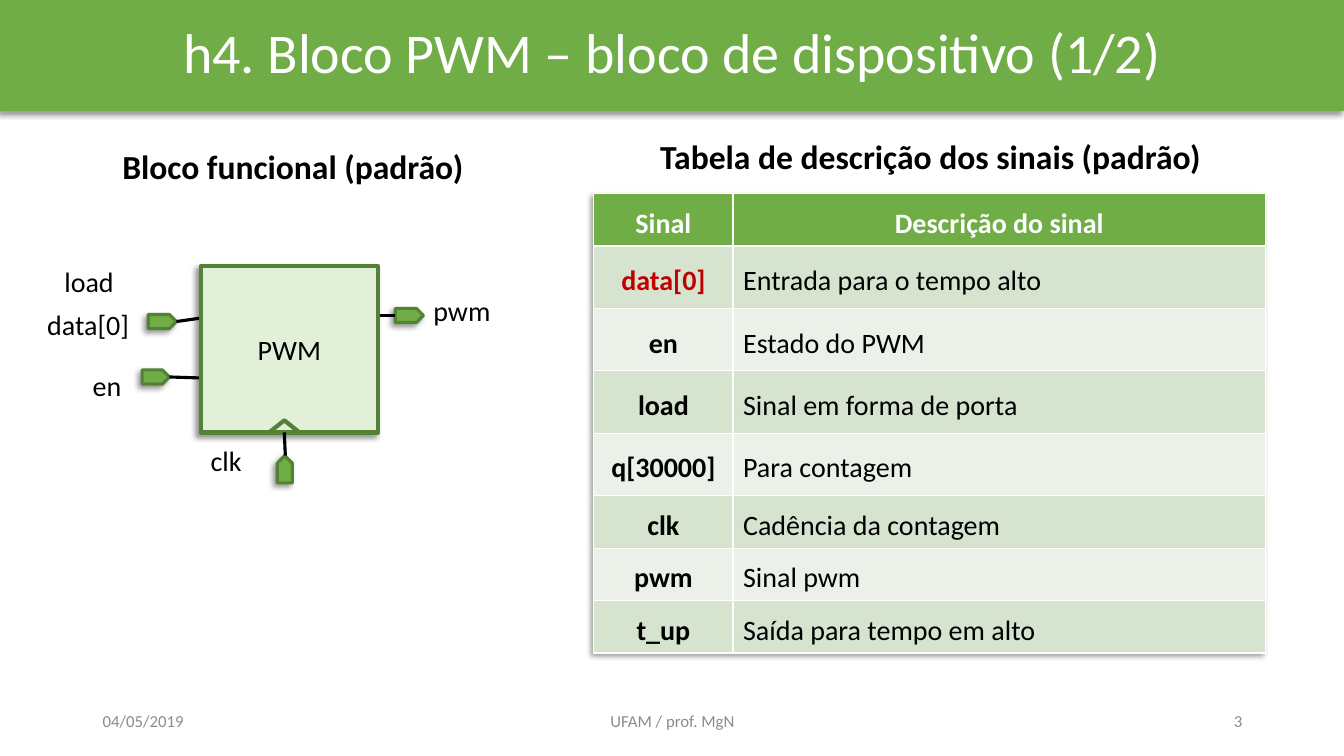
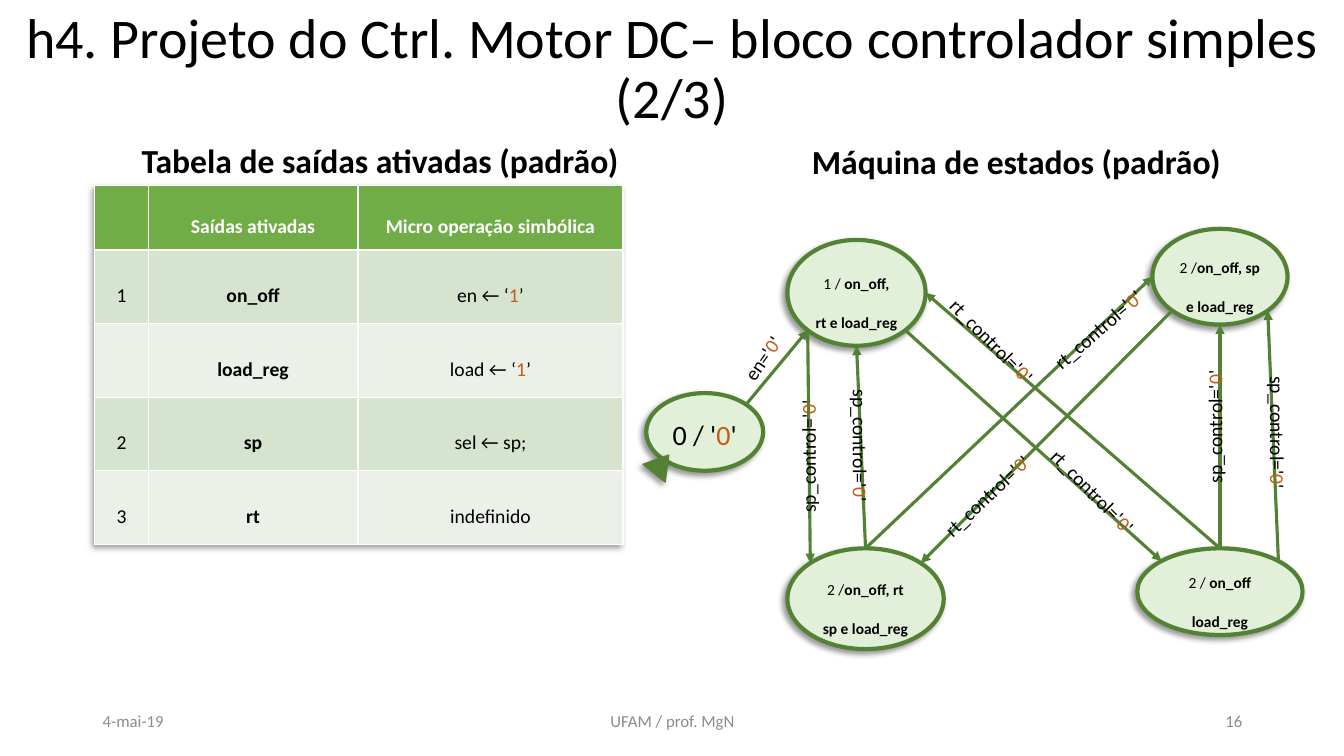
from dataclasses import dataclass
from math import cos, radians, sin
from typing import NamedTuple, Optional

from lxml.etree import SubElement
from pptx import Presentation
from pptx.dml.color import RGBColor
from pptx.enum.shapes import MSO_CONNECTOR, MSO_SHAPE
from pptx.enum.text import MSO_ANCHOR, MSO_AUTO_SIZE, PP_ALIGN
from pptx.oxml.ns import qn
from pptx.util import Inches, Pt

LEFT, CENTER, RIGHT = PP_ALIGN.LEFT, PP_ALIGN.CENTER, PP_ALIGN.RIGHT
TITLE_ONLY_LAYOUT = 5


@dataclass(frozen=True)
class Theme:
    font: str = "Calibri"
    green: str = "70AD47"
    dark_green: str = "548235"
    pale_green: str = "E2F0D9"
    row_bands: tuple = ("D5E3CF", "EBF1E9")
    black: str = "000000"
    white: str = "FFFFFF"
    gray: str = "8C8C8C"
    red: str = "C00000"
    orange: str = "C55A11"
    title_size: float = 40
    heading_size: float = 24
    label_size: float = 20
    small_size: float = 14
    footer_size: float = 12
    state_size: float = 11


THEME = Theme()


class Run(NamedTuple):
    text: str
    bold: Optional[bool] = None
    color: Optional[str] = None


def quoted(prefix, digit, opening="'", closing="'"):
    """Runs that end with a highlighted digit between quotes."""
    return [Run(prefix + opening), Run(digit, color=THEME.orange), Run(closing)]


def inches(values):
    return [Inches(value) for value in values]


def rim(box, angle):
    """Point on the ellipse inside box, with the angle clockwise from the right."""
    left, top, width, height = box
    return (left + width / 2 * (1 + cos(radians(angle))),
            top + height / 2 * (1 + sin(radians(angle))))


def add_shadow(properties):
    effects = properties.find(qn("a:effectLst"))
    if effects is None:
        effects = SubElement(properties, qn("a:effectLst"))
    shadow = SubElement(effects, qn("a:outerShdw"), blurRad=str(Pt(4)),
                        dist=str(Pt(3)), dir=str(135 * 60000), rotWithShape="0")
    color = SubElement(shadow, qn("a:srgbClr"), val=THEME.black)
    SubElement(color, qn("a:alpha"), val="40000")


class Deck:
    def __init__(self, theme):
        self.theme = theme
        self.presentation = Presentation()
        self.presentation.slide_width = Inches(13.33)
        self.presentation.slide_height = Inches(7.5)
        self.slide = None

    def new_slide(self, title, box, date, number, band=False):
        theme = self.theme
        layout = self.presentation.slide_layouts[TITLE_ONLY_LAYOUT]
        self.slide = self.presentation.slides.add_slide(layout)
        shape = self.slide.shapes.title
        shape.left, shape.top, shape.width, shape.height = inches(box)
        if band:
            self.paint(shape, theme.green, shadow=True)
        self.set_text(shape.text_frame, [title], theme.title_size,
                      color=theme.white if band else theme.black, spacing=0.9)
        footers = ((0.92, 3, date, LEFT), (4.42, 4.5, "UFAM / prof. MgN", CENTER),
                   (9.42, 3, number, RIGHT))
        for left, width, text, alignment in footers:
            self.text((left, 6.95, width, 0.4), text, theme.footer_size,
                      color=theme.gray, alignment=alignment)

    def set_text(self, frame, paragraphs, size, color=None, bold=False,
                 alignment=CENTER, spacing=None, wrap=True):
        """Fill a frame; each paragraph is a string or a list of runs."""
        frame.word_wrap = wrap
        frame.auto_size = MSO_AUTO_SIZE.NONE
        frame.vertical_anchor = MSO_ANCHOR.MIDDLE
        for index, content in enumerate(paragraphs):
            paragraph = frame.add_paragraph() if index else frame.paragraphs[0]
            self.fill_paragraph(paragraph, content, size, color, bold, alignment, spacing)

    def fill_paragraph(self, paragraph, content, size, color, bold, alignment, spacing):
        paragraph.alignment = alignment
        if spacing:
            paragraph.line_spacing = spacing
        font = paragraph.font
        font.name, font.size, font.bold = self.theme.font, Pt(size), bold
        font.color.rgb = RGBColor.from_string(color or self.theme.black)
        for part in [Run(content)] if isinstance(content, str) else content:
            run = paragraph.add_run()
            run.text = part.text
            if part.bold is not None:
                run.font.bold = part.bold
            if part.color:
                run.font.color.rgb = RGBColor.from_string(part.color)

    def paint(self, shape, fill=None, line=None, weight=1, shadow=False):
        if fill:
            shape.fill.solid()
            shape.fill.fore_color.rgb = RGBColor.from_string(fill)
        else:
            shape.fill.background()
        if line:
            shape.line.color.rgb = RGBColor.from_string(line)
            shape.line.width = Pt(weight)
        else:
            shape.line.fill.background()
        shape.shadow.inherit = False
        if shadow:
            add_shadow(shape._element.spPr)

    def text(self, box, content, size, rotation=0, **style):
        shape = self.slide.shapes.add_textbox(*inches(box))
        shape.rotation = rotation
        self.set_text(shape.text_frame, [content], size, **style)

    def heading(self, box, content):
        self.text(box, content, self.theme.heading_size, bold=True)

    def label(self, box, content, size, rotation=0):
        self.text(box, content, size, rotation, alignment=LEFT, wrap=False)

    def shape(self, kind, box, fill=None, weight=2.25, shadow=True, rotation=0):
        shape = self.slide.shapes.add_shape(kind, *inches(box))
        shape.rotation = rotation
        self.paint(shape, fill, self.theme.dark_green, weight, shadow)
        return shape

    def pin(self, box, rotation=0):
        return self.shape(MSO_SHAPE.PENTAGON, box, self.theme.green, rotation=rotation)

    def state(self, box, paragraphs, size, inset):
        shape = self.shape(MSO_SHAPE.OVAL, box, self.theme.pale_green, weight=3)
        frame = shape.text_frame
        if inset is not None:
            frame.margin_left = frame.margin_right = Inches(inset)
            frame.margin_top = frame.margin_bottom = Inches(inset)
        self.set_text(frame, paragraphs, size, spacing=Pt(28))

    def line(self, start, end, color, arrow=False):
        connector = self.slide.shapes.add_connector(
            MSO_CONNECTOR.STRAIGHT, *inches(start + end))
        connector.line.color.rgb = RGBColor.from_string(color)
        connector.line.width = Pt(2.25)
        if arrow:
            SubElement(connector.line._get_or_add_ln(), qn("a:tailEnd"), type="triangle")
        SubElement(connector._element.spPr, qn("a:effectLst"))
        return connector

    def table(self, origin, widths, heights, rows, size, columns):
        """Draw a table; columns holds the alignment and weight of each body column."""
        box = (*origin, sum(widths), sum(heights))
        frame = self.slide.shapes.add_table(len(rows), len(widths), *inches(box))
        table = frame.table
        properties = table._tbl.tblPr
        add_shadow(properties)
        properties.insert(0, properties.find(qn("a:effectLst")))
        for column, width in zip(table.columns, widths):
            column.width = Inches(width)
        for index, (row, height, contents) in enumerate(zip(table.rows, heights, rows)):
            row.height = Inches(height)
            header = index == 0
            fill = self.theme.green if header else self.theme.row_bands[(index - 1) % 2]
            color = self.theme.white if header else self.theme.black
            for cell, content, (alignment, bold) in zip(row.cells, contents, columns):
                cell.fill.solid()
                cell.fill.fore_color.rgb = RGBColor.from_string(fill)
                cell.vertical_anchor = MSO_ANCHOR.MIDDLE
                self.fill_paragraph(cell.text_frame.paragraphs[0], content, size, color,
                                    header or bold, CENTER if header else alignment, Pt(30))


def build_pwm_slide(deck):
    theme = deck.theme
    deck.new_slide("h4. Bloco PWM – bloco de dispositivo (1/2)", (0, 0, 13.33, 1.1),
                   "04/05/2019", "3", band=True)
    rows = [
        ("Sinal", "Descrição do sinal"),
        ([Run("data[0]", color=theme.red)], "Entrada para o tempo alto"),
        ("en", "Estado do PWM"),
        ("load", "Sinal em forma de porta"),
        ("q[30000]", "Para contagem"),
        ("clk", "Cadência da contagem"),
        ("pwm", "Sinal pwm"),
        ("t_up", "Saída para tempo em alto"),
    ]
    heights = [0.52] + [0.62] * 4 + [0.52] * 3
    deck.table((5.89, 1.92), (1.38, 5.28), heights, rows, theme.label_size,
               ((CENTER, True), (LEFT, False)))
    deck.heading((0.67, 1.4, 4.47, 0.5), "Bloco funcional (padrão)")
    deck.heading((5.62, 1.3, 7.22, 0.5), "Tabela de descrição dos sinais (padrão)")

    # Each side pin: its box, the joined side, and the far end of its wire
    pins = (((1.47, 3.12, 0.28, 0.14), 3, (2.03, 3.15)),
            ((3.92, 3.06, 0.28, 0.14), 1, (3.75, 3.13)),
            ((1.41, 3.67, 0.27, 0.14), 3, (2, 3.75)))
    for box, side, end in pins:
        pin = deck.pin(box)
        deck.line(end, end, theme.black).begin_connect(pin, side)

    block = deck.shape(MSO_SHAPE.RECTANGLE, (1.99, 2.64, 1.76, 1.65), theme.pale_green, 3)
    deck.set_text(block.text_frame, ["PWM"], theme.label_size)
    deck.shape(MSO_SHAPE.ISOSCELES_TRIANGLE, (2.67, 4.17, 0.3, 0.12), weight=3, shadow=False)
    deck.pin((2.69, 4.58, 0.27, 0.15), rotation=270)
    deck.line((2.83, 4.52), (2.82, 4.29), theme.black)

    labels = (("load", 0.54, 2.57, 0.7), ("data[0]", 0.37, 3, 1.04), ("en", 0.82, 3.6, 0.49),
              ("pwm", 4.2, 2.86, 0.79), ("clk", 1.99, 4.35, 0.52))
    for name, left, top, width in labels:
        deck.label((left, top, width, 0.44), name, theme.label_size)


def build_controller_slide(deck):
    theme = deck.theme
    deck.new_slide("h4. Projeto do Ctrl. Motor DC– bloco controlador simples (2/3)",
                   (0, 0.14, 13.33, 1.12), "4-mai-19", "16")
    deck.heading((7.52, 1.15, 5.12, 0.9), "Máquina de estados (padrão)")
    deck.heading((0.94, 1.14, 5.66, 0.9), "Tabela de saídas ativadas (padrão)")
    rows = [
        ("", "Saídas ativadas", "Micro operação simbólica"),
        ("1", "on_off", quoted("en ← ", "1", "‘", "’")),
        ("", "load_reg", quoted("load ← ", "1", "‘", "’")),
        ("2", "sp", "sel ← sp;"),
        ("3", "rt", "indefinido"),
    ]
    deck.table((0.94, 1.84), (0.53, 2.08, 2.63), [0.64] + [0.73] * 4, rows,
               theme.small_size, ((CENTER, False), (CENTER, True), (CENTER, False)))

    idle = (6.41, 3.9, 1.16, 0.77)
    upper_left = (7.81, 2.38, 1.37, 1.05)
    upper_right = (11.43, 2.27, 1.34, 0.95)
    lower_left = (7.81, 5.44, 1.55, 1)
    lower_right = (11.28, 5.44, 1.64, 0.86)
    states = (
        (lower_right, [[Run("2 / "), Run("on_off load_reg", True)]], theme.state_size, None),
        (idle, [quoted("0 / ", "0")], theme.label_size, 0.04),
        (upper_left, [[Run("1 / "), Run("on_off,", True)], [Run("rt e load_reg", True)]],
         theme.state_size, 0.04),
        (upper_right, [[Run("2 /"), Run("on_off, sp e load_reg", True)]],
         theme.state_size, 0.04),
        (lower_left, [[Run("2 /"), Run("on_off, rt sp e load_reg", True)]],
         theme.state_size, None),
    )
    for state in states:
        deck.state(*state)
    deck.shape(MSO_SHAPE.ISOSCELES_TRIANGLE, (6.42, 4.49, 0.28, 0.23),
               theme.dark_green, weight=1, rotation=38.9)

    right, lower_r, bottom, lower_l, left, upper_l, top, upper_r = range(0, 360, 45)
    transitions = (
        (idle, upper_r, upper_left, lower_l),
        (upper_left, lower_l, lower_left, upper_l),
        (lower_left, top, upper_left, bottom),
        (lower_right, top, upper_right, bottom),
        (lower_right, upper_r, upper_right, lower_r),
        (upper_left, lower_r, lower_right, upper_l),
        (lower_right, top, upper_left, right),
        (upper_right, lower_l, lower_left, upper_r),
        (lower_left, top, upper_right, left),
    )
    for source, source_angle, target, target_angle in transitions:
        deck.line(rim(source, source_angle), rim(target, target_angle),
                  theme.dark_green, arrow=True)

    widths = {"rt_control=": 1.29, "sp_control=": 1.33, "en=": 0.69}
    conditions = (
        ("rt_control=", 10.2, 4.71, 45.5), ("rt_control=", 10.25, 3.09, 319.1),
        ("rt_control=", 9.15, 4.74, 316.6), ("rt_control=", 9.2, 3.22, 45.5),
        ("sp_control=", 11.38, 4.06, 270), ("sp_control=", 7.87, 4.26, 90),
        ("en=", 7.22, 3.38, 305.2), ("sp_control=", 12.01, 4.13, 90),
        ("sp_control=", 7.35, 4.35, 270),
    )
    for signal, x, y, rotation in conditions:
        deck.label((x, y, widths[signal], 0.34), quoted(signal, "0"),
                   theme.small_size, rotation)


def main():
    deck = Deck(THEME)
    build_pwm_slide(deck)
    build_controller_slide(deck)
    deck.presentation.save("out.pptx")


if __name__ == "__main__":
    main()
